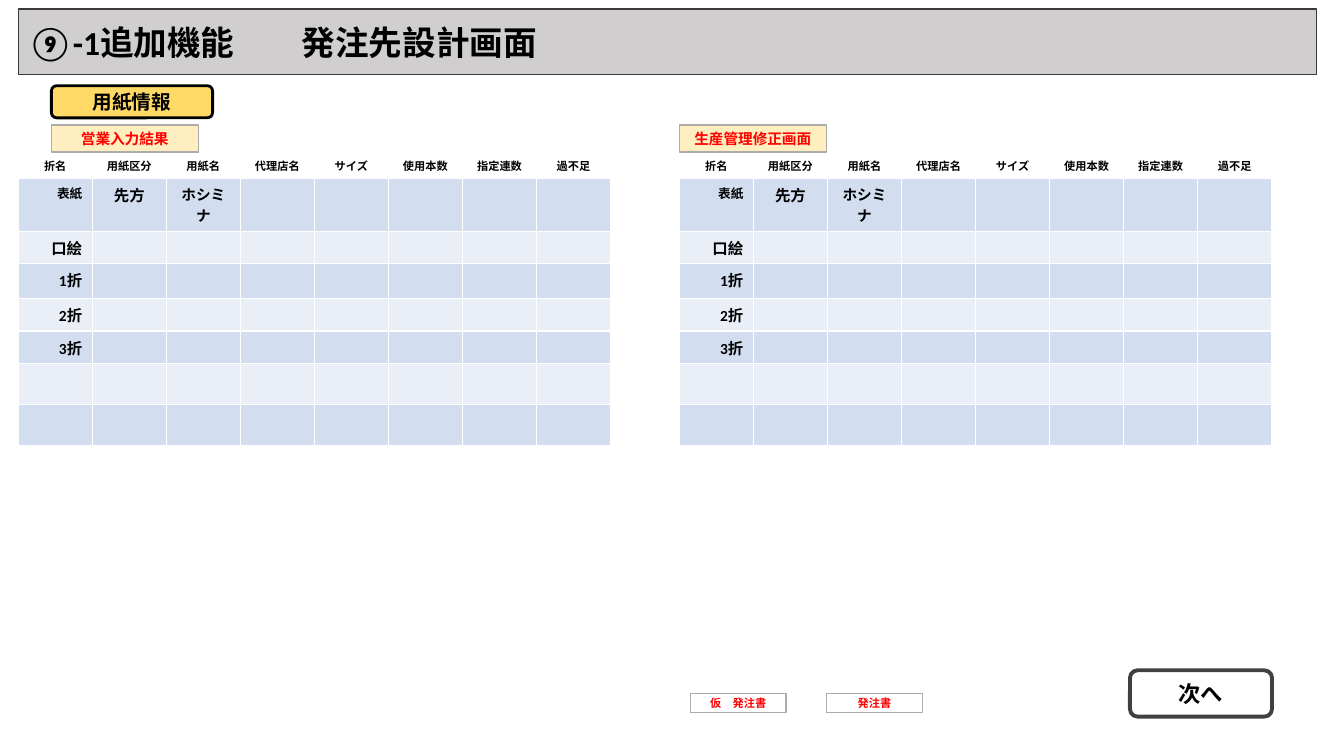
from dataclasses import dataclass

from lxml import etree
from pptx import Presentation
from pptx import util as u
from pptx.dml.color import RGBColor
from pptx.enum import shapes, text
from pptx.oxml import ns


@dataclass(frozen=True)
class Theme:
    font: str = "Calibri"
    black: str = "000000"
    white: str = "FFFFFF"
    red: str = "FF0000"
    banner: str = "D0CECE"
    banner_line: str = "3B3838"
    gold: str = "FFD966"
    label_line: str = "AFABAB"
    button_line: str = "404040"
    bands: tuple = ("D2DEEF", "EAEFF7")
    title_size: float = 24
    button_size: float = 16
    section_size: float = 14
    body_size: float = 11
    label_size: float = 10.5
    cover_size: float = 9
    small_size: float = 8


THEME = Theme()
RECT = shapes.MSO_SHAPE.RECTANGLE
ROUNDED = shapes.MSO_SHAPE.ROUNDED_RECTANGLE
LEFT, CENTER, RIGHT = text.PP_ALIGN.LEFT, text.PP_ALIGN.CENTER, text.PP_ALIGN.RIGHT

COLUMN_WIDTH = 52.9
ROW_HEIGHTS = (16, 23, 23, 25, 23, 23, 28, 28)
HEADINGS = ("折名", "用紙区分", "用紙名", "代理店名", "サイズ", "使用本数", "指定連数", "過不足")
FOLDS = ("口絵", "1折", "2折", "3折")


def style_paragraph(para, size, color=THEME.black, align=CENTER):
    para.alignment = align
    para.font.name = THEME.font
    para.font.size = u.Pt(size)
    para.font.bold = True
    para.font.color.rgb = RGBColor.from_string(color)


def add_box(page, place, words, size, fill, line, line_width=1, color=THEME.black,
            kind=RECT, align=CENTER, opacity=None):
    box = page.shapes.add_shape(kind, *map(u.Pt, place))
    box.shadow.inherit = False
    box.fill.solid()
    box.fill.fore_color.rgb = RGBColor.from_string(fill)
    if opacity is not None:
        tint = box.fill._xPr.find(".//" + ns.qn("a:srgbClr"))
        etree.SubElement(tint, ns.qn("a:alpha"), val=str(opacity * 1000))
    box.line.color.rgb = RGBColor.from_string(line)
    box.line.width = u.Pt(line_width)
    box.text_frame.word_wrap = True
    box.text_frame.vertical_anchor = text.MSO_ANCHOR.MIDDLE
    para = box.text_frame.paragraphs[0]
    para.text = words
    style_paragraph(para, size, color, align)


def add_label(page, left, words):
    add_box(page, (left, 89.3, 105, 19.4), words, THEME.label_size, THEME.gold,
            THEME.label_line, color=THEME.red, opacity=41)


def add_document_button(page, left, words):
    add_box(page, (left, 495.4, 68.4, 13.7), words, THEME.small_size, THEME.white,
            THEME.label_line, color=THEME.red)


def write_cell(cell, words, size, align=CENTER):
    para = cell.text_frame.paragraphs[0]
    para.text = words
    style_paragraph(para, size, align=align)


def add_paper_table(page, left):
    frame = page.shapes.add_table(
        len(ROW_HEIGHTS), len(HEADINGS), u.Pt(left), u.Pt(108.7),
        u.Pt(COLUMN_WIDTH * len(HEADINGS)), u.Pt(sum(ROW_HEIGHTS)))
    table = frame.table
    for column in table.columns:
        column.width = u.Pt(COLUMN_WIDTH)
    for index, (row, height) in enumerate(zip(table.rows, ROW_HEIGHTS)):
        row.height = u.Pt(height)
        for cell in row.cells:
            if index == 0:
                cell.fill.background()
            else:
                cell.fill.solid()
                cell.fill.fore_color.rgb = RGBColor.from_string(THEME.bands[(index - 1) % 2])
            if 0 < index <= len(FOLDS) + 1:
                cell.text_frame.paragraphs[0]._p.get_or_add_endParaRPr().set(
                    "sz", str(int(THEME.body_size * 100)))
    for column, heading in enumerate(HEADINGS):
        write_cell(table.cell(0, column), heading, THEME.small_size)
    write_cell(table.cell(1, 0), "表紙", THEME.cover_size, RIGHT)
    write_cell(table.cell(1, 1), "先方", THEME.body_size)
    write_cell(table.cell(1, 2), "ホシミナ", THEME.label_size)
    for row, fold in enumerate(FOLDS, start=2):
        write_cell(table.cell(row, 0), fold, THEME.body_size, RIGHT)


def main():
    deck = Presentation()
    deck.slide_width, deck.slide_height = u.Pt(960), u.Pt(540)
    page = deck.slides.add_slide(deck.slide_layouts[6])

    add_box(page, (13, 6.5, 927.4, 46.8), "⑨-1追加機能　　発注先設計画面",
            THEME.title_size, THEME.banner, THEME.banner_line, align=LEFT)
    add_box(page, (36.7, 61.2, 115.2, 23), "用紙情報", THEME.section_size,
            THEME.gold, THEME.black, 2, kind=ROUNDED)
    add_box(page, (807.1, 478.8, 101.5, 33.1), "次へ", THEME.button_size,
            THEME.white, THEME.button_line, 2.75, kind=ROUNDED)

    for table_left, label_left, words in (
            (13, 36.7, "営業入力結果"), (485.3, 485.3, "生産管理修正画面")):
        add_paper_table(page, table_left)
        add_label(page, label_left, words)

    add_document_button(page, 493.2, "仮　発注書")
    add_document_button(page, 590.4, "発注書")
    deck.save("out.pptx")


if __name__ == "__main__":
    main()
